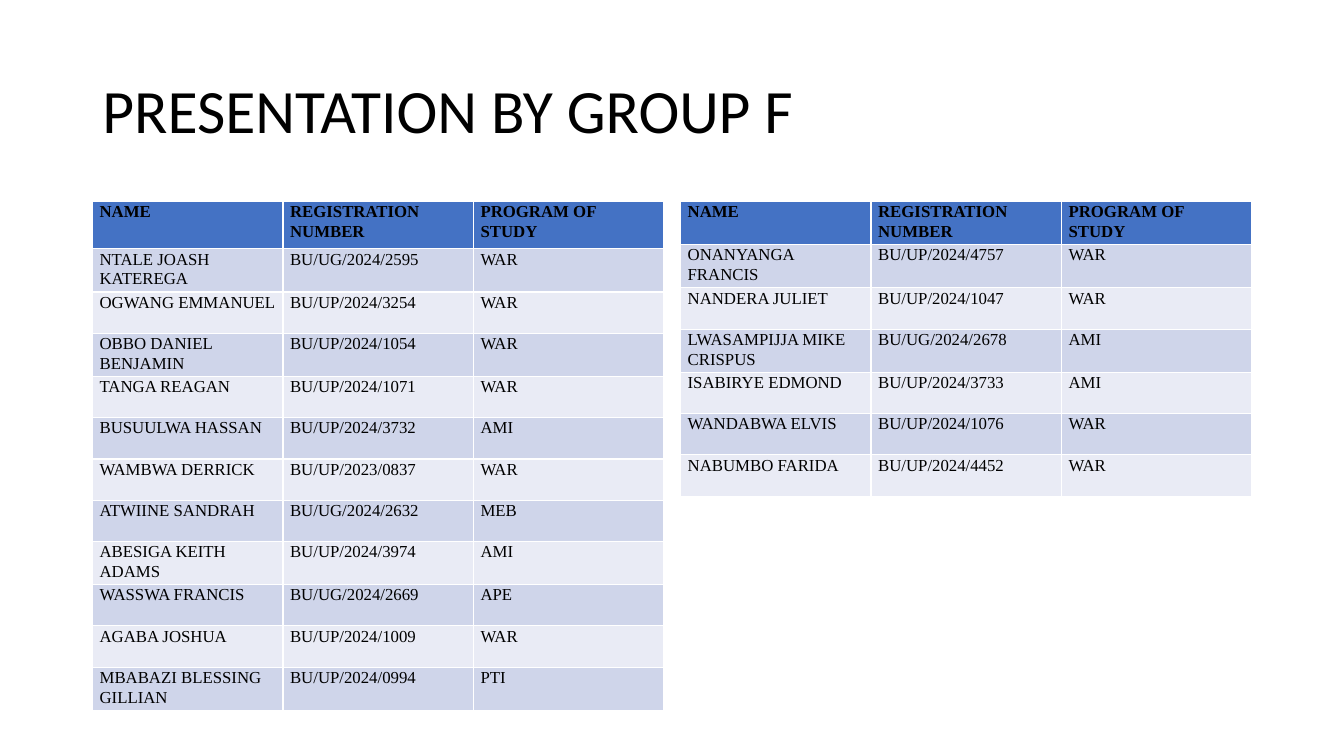
from pptx import Presentation
from pptx.dml.color import RGBColor as Rgb
from pptx.enum.text import MSO_ANCHOR as Anchor
from pptx.util import Cm, Pt

COLOURS = {"text": "000000", "header": "4472C4", "odd": "CFD5EA", "even": "E9EBF5"}
HEADINGS = ("NAME", "REGISTRATION NUMBER", "PROGRAM OF STUDY")
LEFT_MEMBERS = [
    ("NTALE JOASH KATEREGA", "BU/UG/2024/2595", "WAR"),
    ("OGWANG EMMANUEL", "BU/UP/2024/3254", "WAR"),
    ("OBBO DANIEL BENJAMIN", "BU/UP/2024/1054", "WAR"),
    ("TANGA REAGAN", "BU/UP/2024/1071", "WAR"),
    ("BUSUULWA HASSAN", "BU/UP/2024/3732", "AMI"),
    ("WAMBWA DERRICK", "BU/UP/2023/0837", "WAR"),
    ("ATWIINE SANDRAH", "BU/UG/2024/2632", "MEB"),
    ("ABESIGA KEITH ADAMS", "BU/UP/2024/3974", "AMI"),
    ("WASSWA FRANCIS", "BU/UG/2024/2669", "APE"),
    ("AGABA JOSHUA", "BU/UP/2024/1009", "WAR"),
    ("MBABAZI BLESSING GILLIAN", "BU/UP/2024/0994", "PTI"),
]
RIGHT_MEMBERS = [
    ("ONANYANGA FRANCIS", "BU/UP/2024/4757", "WAR"),
    ("NANDERA JULIET", "BU/UP/2024/1047", "WAR"),
    ("LWASAMPIJJA MIKE CRISPUS", "BU/UG/2024/2678", "AMI"),
    ("ISABIRYE EDMOND", "BU/UP/2024/3733", "AMI"),
    ("WANDABWA ELVIS", "BU/UP/2024/1076", "WAR"),
    ("NABUMBO FARIDA", "BU/UP/2024/4452", "WAR"),
]


class GroupPage:
    """Holds the style and the current slide."""

    title_font, title_size = "Calibri", 44
    table_font, table_size = "Times New Roman", 12
    column_width, row_height = 4.8, 1.04

    def __init__(self, deck):
        self.page = deck.slides.add_slide(deck.slide_layouts[6])

    def style(self, para, font, size, spacing, bold=False):
        para.line_spacing = spacing
        for span in para.runs:
            span.font.name = font
            span.font.size = Pt(size)
            span.font.bold = bold
            span.font.color.rgb = Rgb.from_string(COLOURS["text"])

    def title(self, text, left, top, width, height):
        box = self.page.shapes.add_textbox(Cm(left), Cm(top), Cm(width), Cm(height))
        frame = box.text_frame
        frame.word_wrap = True
        frame.vertical_anchor = Anchor.MIDDLE
        frame.text = text
        self.style(frame.paragraphs[0], self.title_font, self.title_size, 0.9)

    def member_table(self, members, left, top, header_height):
        """Table of members; its white rules come from the default table style."""
        rows = [HEADINGS, *members]
        width = self.column_width * len(HEADINGS)
        height = header_height + self.row_height * len(members)
        table = self.page.shapes.add_table(
            len(rows), len(HEADINGS), Cm(left), Cm(top), Cm(width), Cm(height)).table
        for column in table.columns:
            column.width = Cm(self.column_width)
        for number, values in enumerate(rows):
            is_header = number == 0
            table.rows[number].height = Cm(header_height if is_header else self.row_height)
            band = "header" if is_header else "odd" if number % 2 else "even"
            for cell, value in zip(table.rows[number].cells, values):
                self.fill_cell(cell, value, COLOURS[band], is_header)

    def fill_cell(self, cell, value, colour, bold):
        cell.margin_left = cell.margin_right = Cm(0.18)
        cell.margin_top = cell.margin_bottom = 0
        cell.fill.solid()
        cell.fill.fore_color.rgb = Rgb.from_string(colour)
        cell.text_frame.text = value
        para = cell.text_frame.paragraphs[0]
        para.space_after = Pt(6.5)
        self.style(para, self.table_font, self.table_size, 1.07, bold)


def main():
    deck = Presentation()
    deck.slide_width, deck.slide_height = Cm(33.87), Cm(19.05)
    page = GroupPage(deck)
    page.title("PRESENTATION BY GROUP F", 2.33, 1.01, 29.21, 3.68)
    page.member_table(RIGHT_MEMBERS, 17.15, 5.08, header_height=1.04)
    page.member_table(LEFT_MEMBERS, 2.33, 5.08, header_height=1.19)
    deck.save("out.pptx")


if __name__ == "__main__":
    main()
